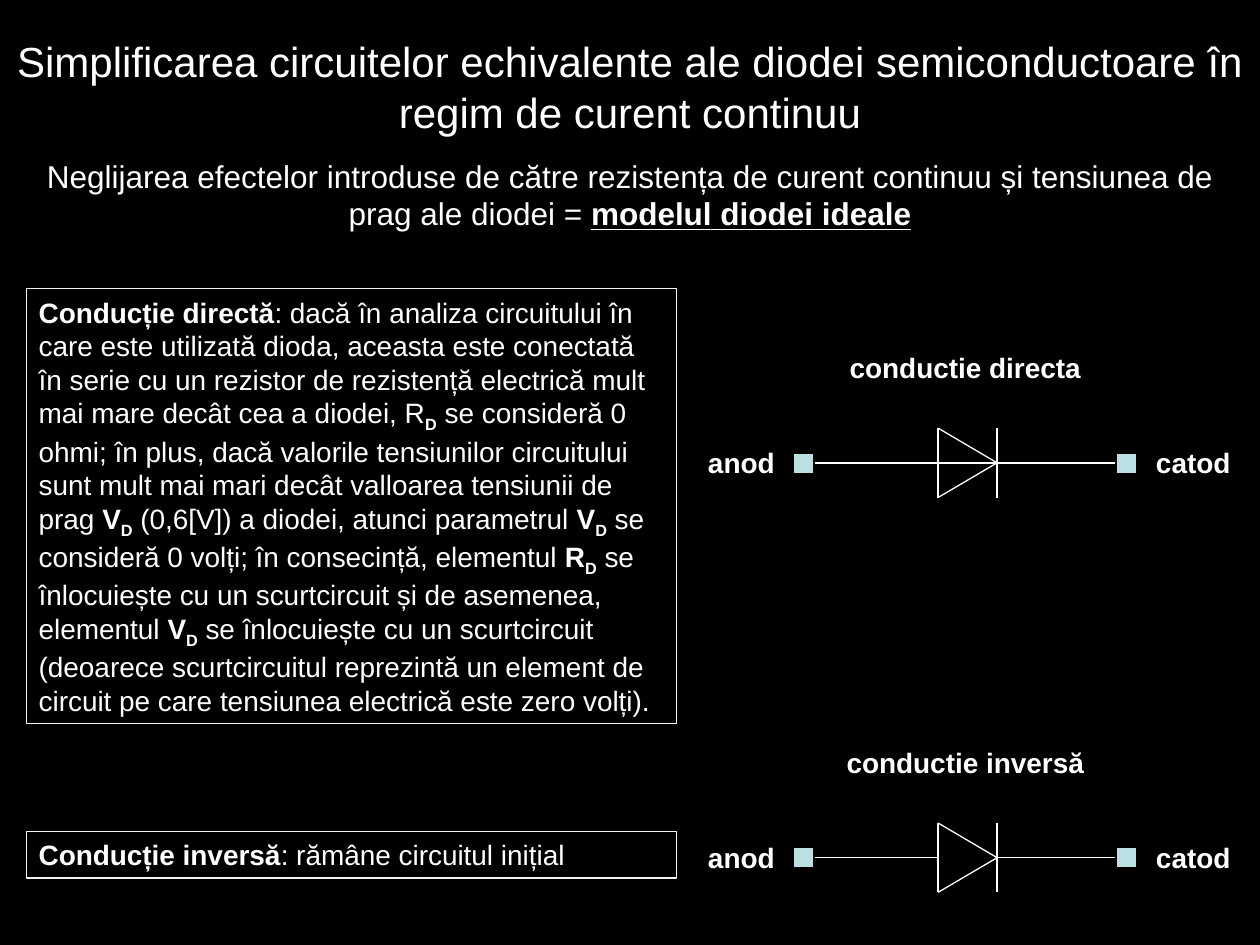
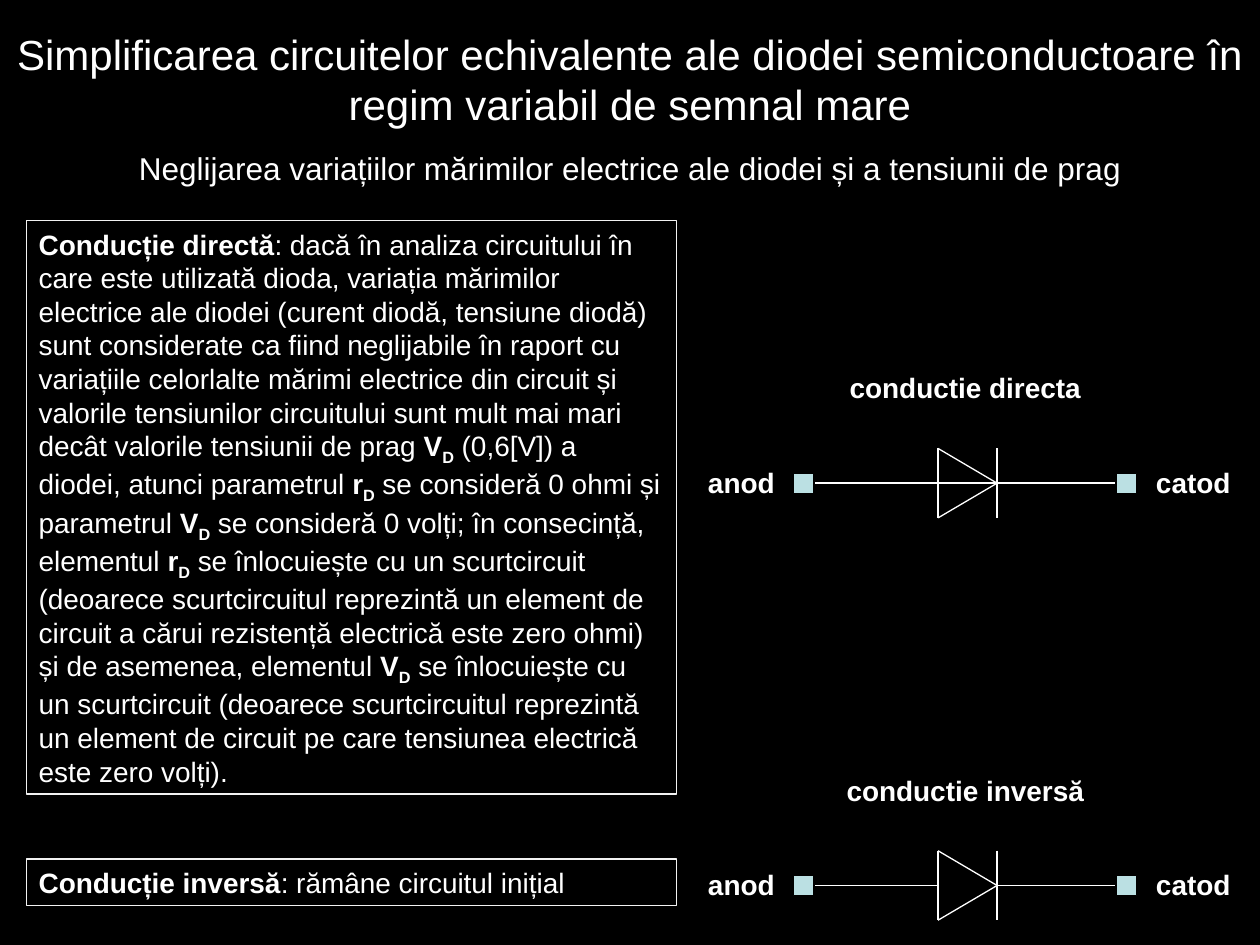
import pptx
import pptx.dml.color
import pptx.enum.shapes
import pptx.enum.text
import pptx.oxml
import pptx.util
from dataclasses import dataclass

Cm = pptx.util.Cm
Pt = pptx.util.Pt
ALIGN = pptx.enum.text.PP_ALIGN
ANCHOR = pptx.enum.text.MSO_ANCHOR


@dataclass(frozen=True)
class Theme:
    font: str = "Arial"
    back: str = "000000"
    ink: str = "FFFFFF"
    frame: str = "F2F2F2"
    pad: str = "BBE0E3"
    title: float = 24
    lead: float = 18
    body: float = 16
    gap: float = 11.5
    thin: float = 0.75
    thick: float = 1.5


THEME = Theme()

TITLE = "Simplificarea circuitelor echivalente ale diodei semiconductoare în regim "
SHORT = " se înlocuiește cu un scurtcircuit"
REASON = " (deoarece scurtcircuitul reprezintă un element de circuit "
NO_VOLTS = REASON + "pe care tensiunea electrică este zero volți)."
START = "*Conducție directă*: dacă în analiza circuitului în care este utilizată dioda, "
LIMIT = "*V_D* (0,6[V]) a diodei, atunci parametrul "
RESULT = " se consideră 0 volți; în consecință, elementul "
REVERSE = "*Conducție inversă*: rămâne circuitul inițial"

DIRECT = (
    START + "aceasta este conectată în serie cu un rezistor de rezistență electrică "
    "mult mai mare decât cea a diodei, R*_D* se consideră 0 ohmi; în plus, dacă "
    "valorile tensiunilor circuitului sunt mult mai mari decât valloarea tensiunii "
    "de prag " + LIMIT + "*V_D*" + RESULT + "*R_D*" + SHORT
    + " și de asemenea, elementul *V_D*" + SHORT + NO_VOLTS
)
LARGE = (
    START + "variația mărimilor electrice ale diodei (curent diodă, tensiune diodă) "
    "sunt considerate ca fiind neglijabile în raport cu variațiile celorlalte mărimi "
    "electrice din circuit și valorile tensiunilor circuitului sunt mult mai mari "
    "decât valorile tensiunii de prag " + LIMIT
    + "*r_D* se consideră 0 ohmi și parametrul *V_D*" + RESULT + "*r_D*" + SHORT + REASON
    + "a cărui rezistență electrică este zero ohmi) și de asemenea, elementul *V_D*"
    + SHORT + NO_VOLTS
)


def color(code):
    return pptx.dml.color.RGBColor.from_string(code)


def add_run(para, text, size, bold=False, sub=False, under=False):
    if not text:
        return
    run = para.add_run()
    run.text = text
    font = run.font
    font.name, font.size, font.bold = THEME.font, Pt(size), bold
    font.color.rgb = color(THEME.ink)
    if under:
        font.underline = True
    if sub:
        font._element.set("baseline", "-25000")


def write(para, text, size, align=ALIGN.LEFT, under=False):
    """Fill a paragraph; *...* is bold, and _ inside it starts a subscript."""
    para.alignment = align
    for i, part in enumerate(text.split("*")):
        bold = i % 2 == 1
        base, _, low = part.partition("_") if bold else (part, "", "")
        add_run(para, base, size, bold, under=under and bold)
        add_run(para, low, size, bold, sub=True)


def set_frame(shape, anchor):
    frame = shape.text_frame
    frame.word_wrap = True
    frame.auto_size = pptx.enum.text.MSO_AUTO_SIZE.SHAPE_TO_FIT_TEXT
    frame.vertical_anchor = anchor
    return frame


def add_box(slide, left, top, width, height):
    box = slide.shapes.add_shape(
        pptx.enum.shapes.MSO_SHAPE.RECTANGLE, Cm(left), Cm(top), Cm(width), Cm(height))
    box.shadow.inherit = False
    box.line.width = Pt(THEME.thin)
    return box


def add_panel(slide, text, top, height):
    box = add_box(slide, 0.53, top, 13.11, height)
    box.fill.background()
    box.line.color.rgb = color(THEME.frame)
    write(set_frame(box, ANCHOR.MIDDLE).paragraphs[0], text, THEME.body)


def add_head(slide, title, lead, top, height):
    box = slide.shapes.add_textbox(0, Cm(top), Cm(25.4), Cm(height))
    frame = set_frame(box, ANCHOR.MIDDLE)
    write(frame.paragraphs[0], title, THEME.title, ALIGN.CENTER)
    para = frame.add_paragraph()
    para.space_before = Pt(THEME.gap)
    write(para, lead, THEME.lead, ALIGN.CENTER, under=True)


def add_label(slide, text, left, top, width):
    box = slide.shapes.add_textbox(Cm(left), Cm(top), Cm(width), Cm(0.94))
    frame = set_frame(box, ANCHOR.TOP)
    write(frame.paragraphs[0], f"*{text}*", THEME.body, ALIGN.CENTER)


def add_line(slide, x1, y1, x2, y2, width=THEME.thin):
    line = slide.shapes.add_connector(
        pptx.enum.shapes.MSO_CONNECTOR.STRAIGHT, Cm(x1), Cm(y1), Cm(x2), Cm(y2))
    line.line.width = Pt(width)
    line.line.color.rgb = color(THEME.ink)
    line._element.spPr.append(pptx.oxml.parse_xml(
        '<a:effectLst xmlns:a="http://schemas.openxmlformats.org/drawingml/2006/main"/>'))


def add_diode(slide, name, mid, closed=False):
    """Draw a diode on the axis at height mid; closed adds the short-circuit wire."""
    base, tip, start, end = 18.91, 20.1, 16.31, 22.71
    top, foot = mid - 0.7, mid + 0.7
    for ends in (
        (base, top, tip, mid),
        (base, top, base, foot),
        (base, foot, tip, mid),
        (tip, top, tip, foot),
        (tip, mid, end, mid),
        (start, mid, base, mid),
    ):
        add_line(slide, *ends)
    if closed:
        add_line(slide, start, mid, end, mid, THEME.thick)
    for left in (16, 22.5):
        pad = add_box(slide, left, mid - 0.2, 0.41, 0.41)
        pad.fill.solid()
        pad.fill.fore_color.rgb = color(THEME.pad)
        pad.line.color.rgb = color(THEME.back)
    add_label(slide, "anod", 13.6, mid - 0.48, 2.69)
    add_label(slide, "catod", 22.71, mid - 0.48, 2.69)
    add_label(slide, name, 16.21, mid - 2.39, 6.5)


def add_slide(deck, head, panel, mids):
    slide = deck.slides.add_slide(deck.slide_layouts[6])
    slide.background.fill.solid()
    slide.background.fill.fore_color.rgb = color(THEME.back)
    upper, lower = mids
    add_head(slide, *head)
    add_panel(slide, *panel)
    add_panel(slide, REVERSE, lower - 0.53, 0.94)
    add_diode(slide, "conductie directa", upper, closed=True)
    add_diode(slide, "conductie inversă", lower)


def main():
    deck = pptx.Presentation()
    deck.slide_width, deck.slide_height = Cm(25.4), Cm(19.05)
    add_slide(
        deck,
        (TITLE + "de curent continuu",
         "Neglijarea efectelor introduse de către rezistența de curent continuu și "
         "tensiunea de prag ale diodei = *modelul diodei ideale*", 0.58, 4.24),
        (DIRECT, 5.82, 8.76),
        (9.33, 17.29),
    )
    add_slide(
        deck,
        (TITLE + "variabil de semnal mare",
         "Neglijarea variațiilor mărimilor electrice ale diodei și a tensiunii de prag",
         0.43, 3.48),
        (LARGE, 4.45, 11.56),
        (9.74, 17.85),
    )
    deck.save("out.pptx")


if __name__ == "__main__":
    main()
